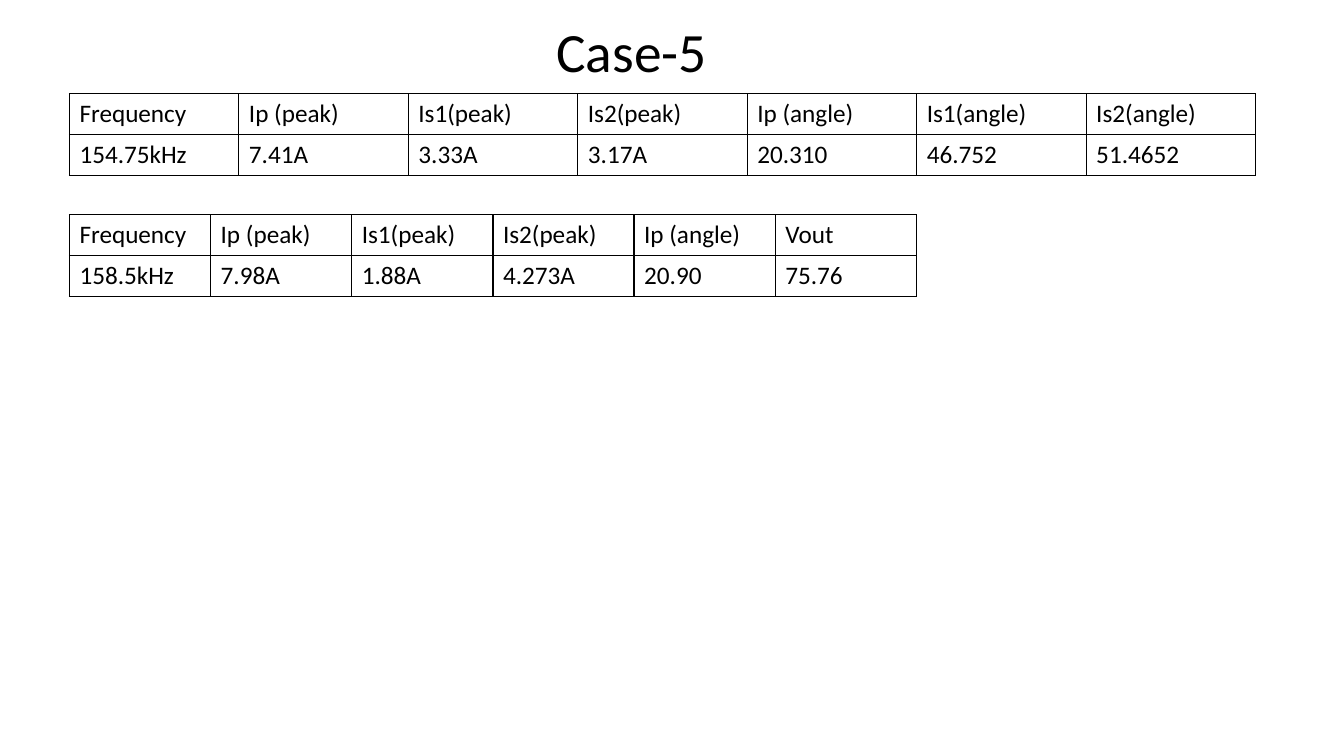
"""Build the Case-5 slide: a title above two tables of measured values."""
import dataclasses

import lxml.etree
import pptx
import pptx.dml.color
import pptx.enum.text
import pptx.oxml.ns
import pptx.util

Pt = pptx.util.Pt


@dataclasses.dataclass(frozen=True)
class Theme:
    font: str = "Calibri"
    ink: str = "000000"
    title_size: float = 39.6
    cell_size: float = 18
    border_width: float = 1


theme = Theme()
ink = pptx.dml.color.RGBColor.from_string(theme.ink)


def add_run(paragraph, text, size):
    run = paragraph.add_run()
    run.text = text
    run.font.name = theme.font
    run.font.size = Pt(size)
    run.font.bold = False
    run.font.color.rgb = ink


def add_borders(cell):
    properties = cell._tc.get_or_add_tcPr()
    qualified = pptx.oxml.ns.qn
    for position, side in enumerate(("a:lnL", "a:lnR", "a:lnT", "a:lnB")):
        line = lxml.etree.Element(qualified(side), w=str(Pt(theme.border_width)))
        fill = lxml.etree.SubElement(line, qualified("a:solidFill"))
        lxml.etree.SubElement(fill, qualified("a:srgbClr"), val=theme.ink)
        properties.insert(position, line)


presentation = pptx.Presentation()
presentation.slide_width = Pt(960)
presentation.slide_height = Pt(540)
slide = presentation.slides.add_slide(presentation.slide_layouts[5])

title = slide.shapes.title
title.left, title.top, title.width, title.height = Pt(390.2), Pt(4.3), Pt(126), Pt(69)
title_frame = title.text_frame
title_frame.word_wrap = True
title_frame.auto_size = pptx.enum.text.MSO_AUTO_SIZE.NONE
title_frame.vertical_anchor = pptx.enum.text.MSO_ANCHOR.MIDDLE
title_paragraph = title_frame.paragraphs[0]
title_paragraph.alignment = pptx.enum.text.PP_ALIGN.LEFT
title_paragraph.line_spacing = 0.9
add_run(title_paragraph, "Case-5", theme.title_size)

table_left, row_height = 49.6, 29.2
peak_headings = ["Frequency", "Ip (peak)", "Is1(peak)", "Is2(peak)", "Ip (angle)"]
measurements = [
    (67, 121.05, [
        peak_headings + ["Is1(angle)", "Is2(angle)"],
        ["154.75kHz", "7.41A", "3.33A", "3.17A", "20.310", "46.752", "51.4652"],
    ]),
    (153.4, 100.85, [
        peak_headings + ["Vout"],
        ["158.5kHz", "7.98A", "1.88A", "4.273A", "20.90", "75.76"],
    ]),
]

for top, column_width, rows in measurements:
    column_count = len(rows[0])
    table = slide.shapes.add_table(
        len(rows), column_count, Pt(table_left), Pt(top),
        Pt(column_width * column_count), Pt(row_height * len(rows)),
    ).table
    table.first_row = False
    table.horz_banding = False
    for column in table.columns:
        column.width = Pt(column_width)
    for row_index, values in enumerate(rows):
        table.rows[row_index].height = Pt(row_height)
        for column_index, value in enumerate(values):
            cell = table.cell(row_index, column_index)
            cell.fill.background()
            add_borders(cell)
            add_run(cell.text_frame.paragraphs[0], value, theme.cell_size)

presentation.save("out.pptx")
